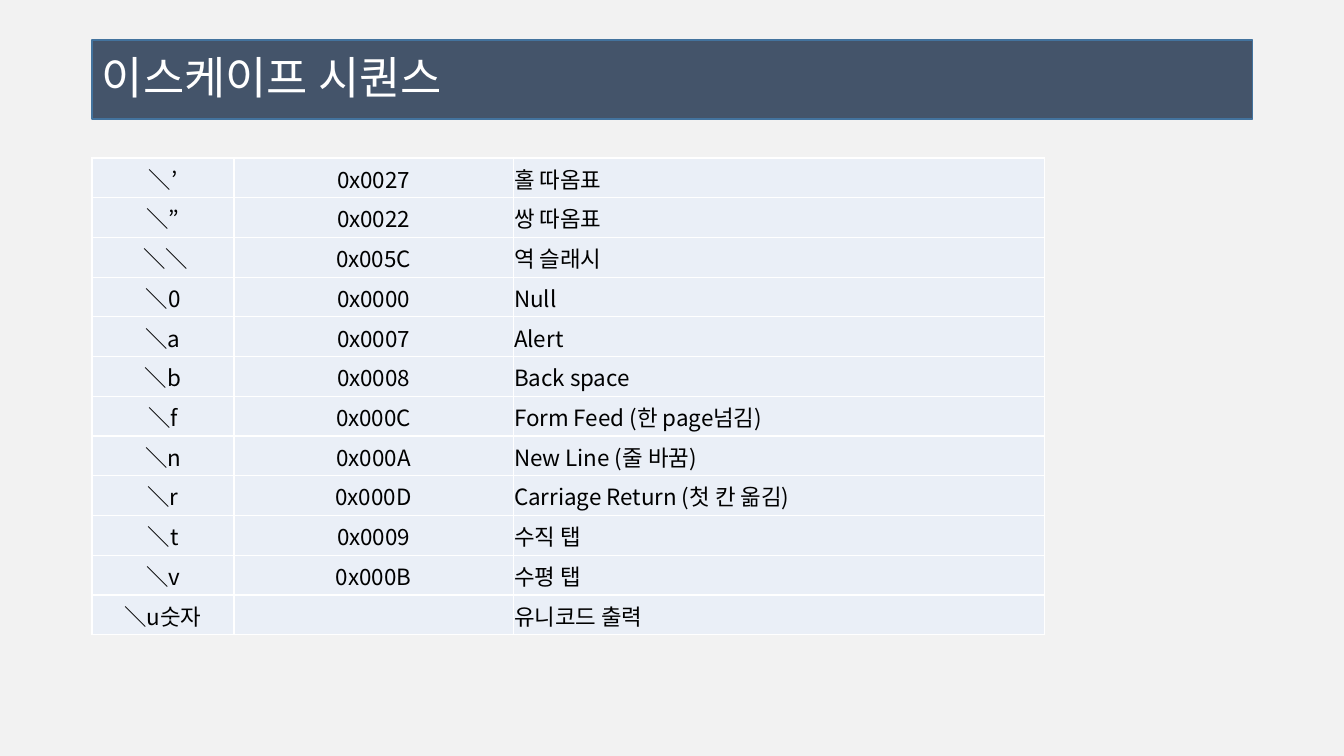
from lxml.etree import SubElement
from pptx import Presentation
from pptx.dml.color import RGBColor
from pptx.enum.shapes import MSO_SHAPE
from pptx.enum.text import MSO_ANCHOR, PP_ALIGN
from pptx.oxml.ns import qn
from pptx.util import Emu, Inches, Pt

PAPER = RGBColor(0xF2, 0xF2, 0xF2)
SLATE = RGBColor(0x44, 0x54, 0x6A)
BLUE = RGBColor(0x43, 0x73, 0x9E)
PALE = RGBColor(0xEA, 0xEF, 0xF7)
WHITE = RGBColor(0xFF, 0xFF, 0xFF)
BLACK = RGBColor(0, 0, 0)

WIDTHS = [142, 279, 531]
ALIGNS = [PP_ALIGN.CENTER, PP_ALIGN.CENTER, PP_ALIGN.LEFT]
CODES = [
    ("＼’", "0x0027", "홀 따옴표"),
    ("＼”", "0x0022", "쌍 따옴표"),
    (" ＼＼", "0x005C", "역 슬래시"),
    ("＼0", "0x0000", "Null"),
    ("＼a", "0x0007", "Alert"),
    ("＼b", "0x0008", "Back space"),
    ("＼f", "0x000C", "Form Feed (한 page넘김)"),
    ("＼n", "0x000A", "New Line (줄 바꿈)"),
    ("＼r", "0x000D", "Carriage Return (첫 칸 옮김)"),
    ("＼t", "0x0009", "수직 탭"),
    ("＼v", "0x000B", "수평 탭"),
    ("＼u숫자", "", "유니코드 출력"),
]


def px(count):
    return Emu(round(count * 914400 / 100.8))


class Board:
    face = "Noto Sans CJK KR"

    def __init__(self, slide):
        self.slide = slide
        fill = slide.background.fill
        fill.solid()
        fill.fore_color.rgb = PAPER

    def label(self, frame, text, size, color, align):
        frame.text = text
        line = frame.paragraphs[0]
        line.alignment = align
        for run in line.runs:
            run.font.name = self.face
            run.font.size = Pt(size)
            run.font.color.rgb = color
            SubElement(run.font._element, qn("a:ea"), typeface=self.face)
        return line

    def title(self, text, left, top, width, height):
        bar = self.slide.shapes.add_shape(
            MSO_SHAPE.RECTANGLE, px(left), px(top), px(width), px(height))
        bar.shadow.inherit = False
        bar.fill.solid()
        bar.fill.fore_color.rgb = SLATE
        bar.line.color.rgb = BLUE
        bar.line.width = Pt(1)
        frame = bar.text_frame
        frame.word_wrap = True
        frame.vertical_anchor = MSO_ANCHOR.MIDDLE
        line = self.label(frame, text, 32, WHITE, PP_ALIGN.LEFT)
        line.line_spacing = 0.9

    def edge(self, cell):
        props = cell._tc.get_or_add_tcPr()
        for side in ("lnL", "lnR", "lnT", "lnB"):
            rule = SubElement(props, qn("a:" + side), w=str(Pt(1)))
            fill = SubElement(rule, qn("a:solidFill"))
            SubElement(fill, qn("a:srgbClr"), val=str(WHITE))

    def cell(self, cell, text, align):
        cell.margin_left = cell.margin_right = cell.margin_top = px(1)
        cell.margin_bottom = 0
        cell.vertical_anchor = MSO_ANCHOR.MIDDLE
        self.edge(cell)
        cell.fill.solid()
        cell.fill.fore_color.rgb = PALE
        self.label(cell.text_frame, text, 16, BLACK, align)

    def table(self, data, left, top, height):
        grid = self.slide.shapes.add_table(
            len(data), len(WIDTHS), px(left), px(top),
            px(sum(WIDTHS)), px(height)).table
        grid.first_row = grid.horz_banding = False
        for col, width in zip(grid.columns, WIDTHS):
            col.width = px(width)
        for row, texts in zip(grid.rows, data):
            row.height = px(height / len(data))
            for cell, text, align in zip(row.cells, texts, ALIGNS):
                self.cell(cell, text, align)


def main():
    deck = Presentation()
    deck.slide_width = Inches(13.33)
    deck.slide_height = Inches(7.5)
    board = Board(deck.slides.add_slide(deck.slide_layouts[6]))
    board.title("이스케이프 시퀀스", 92, 40, 1160, 79)
    board.table(CODES, 92, 158, 477)
    deck.save("out.pptx")


if __name__ == "__main__":
    main()
